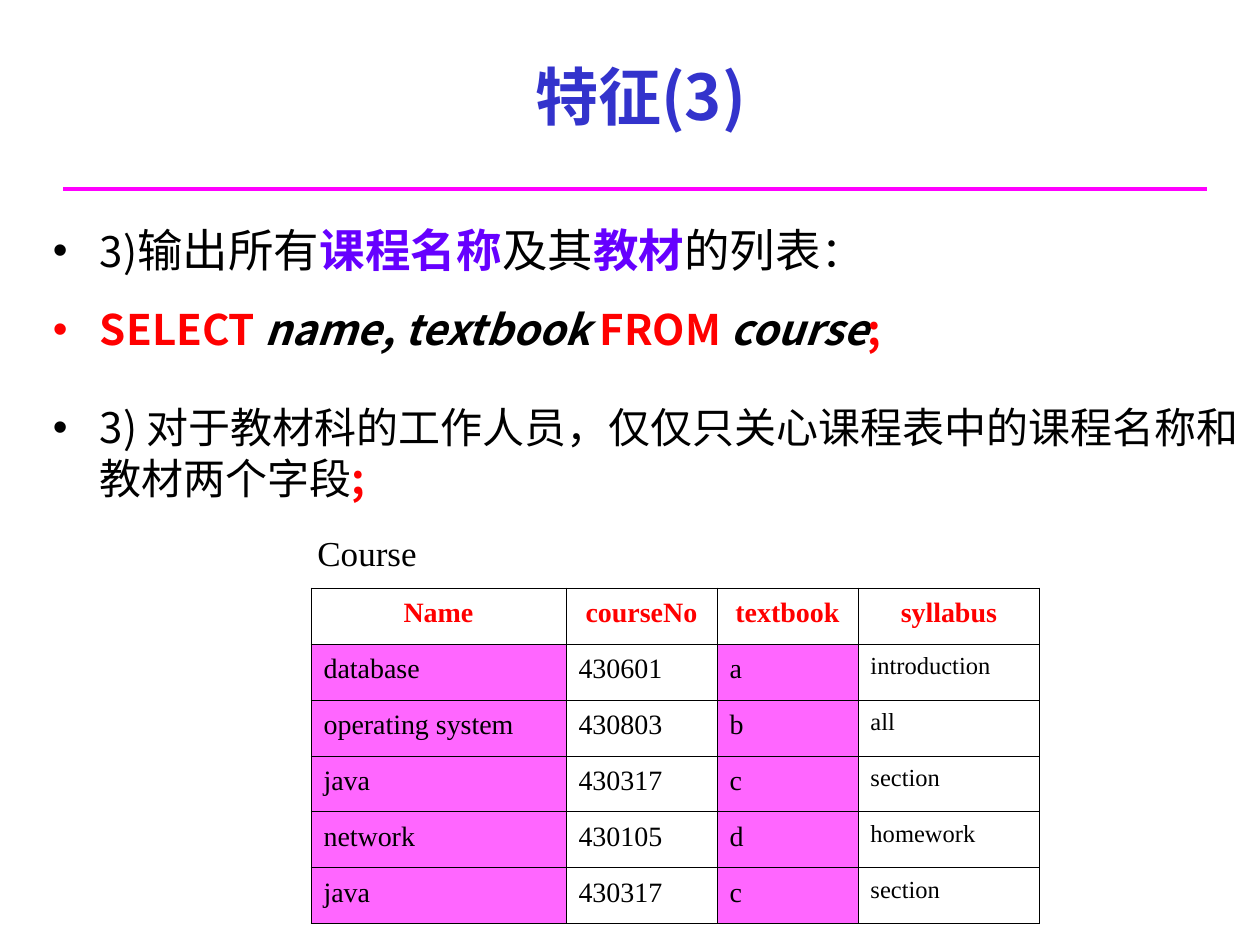
import pptx
import pptx.util
import pptx.dml.color
import pptx.enum.shapes
import pptx.enum.text
import pptx.oxml.ns
import lxml.etree

PX = 914400 / 126
RGBColor = pptx.dml.color.RGBColor
BLACK = RGBColor(0x00, 0x00, 0x00)
RED = RGBColor(0xFF, 0x00, 0x00)
VIOLET = RGBColor(0x66, 0x00, 0xFF)
BLUE = RGBColor(0x33, 0x33, 0xCC)
MAGENTA = RGBColor(0xFF, 0x00, 0xFF)
PINK = RGBColor(0xFF, 0x66, 0xFF)
SANS = "Noto Sans CJK SC"
SERIF = "Times New Roman"
qn = pptx.oxml.ns.qn
Pt = pptx.util.Pt
PP_ALIGN = pptx.enum.text.PP_ALIGN
MSO_ANCHOR = pptx.enum.text.MSO_ANCHOR
MSO_AUTO_SIZE = pptx.enum.text.MSO_AUTO_SIZE


def px(*lengths):
    return [pptx.util.Emu(round(length * PX)) for length in lengths]


def style(run, face, size, color, bold=False, italic=False):
    run.font.size = Pt(size)
    run.font.bold = bold
    run.font.italic = italic
    run.font.color.rgb = color
    run.font.name = face
    lxml.etree.SubElement(run.font._element, qn("a:ea"), typeface=face)


deck = pptx.Presentation()
deck.slide_width, deck.slide_height = px(1260, 945)
slide = deck.slides.add_slide(deck.slide_layouts[1])

rule_x1, rule_y1, rule_x2, rule_y2 = px(63, 189, 1207, 189)
rule = slide.shapes.add_connector(
    pptx.enum.shapes.MSO_CONNECTOR.STRAIGHT, rule_x1, rule_y1, rule_x2, rule_y2)
rule.line.color.rgb = MAGENTA
rule.line.width = Pt(2)
lxml.etree.SubElement(rule._element.spPr, qn("a:effectLst"))

title = slide.shapes.title
title.left, title.top, title.width, title.height = px(105, 32, 1071, 126)
title.text_frame.text = "特征(3)"
title.text_frame.vertical_anchor = MSO_ANCHOR.MIDDLE
title.text_frame.auto_size = MSO_AUTO_SIZE.NONE
title.text_frame.paragraphs[0].alignment = PP_ALIGN.CENTER
style(title.text_frame.paragraphs[0].runs[0], SANS, 36, BLUE, True)

points = [
    (0, BLACK, [
        ("3)", 24, BLACK, False, False),
        ("输出所有", 26, BLACK, False, False),
        ("课程名称", 26, VIOLET, True, False),
        ("及其", 26, BLACK, False, False),
        ("教材", 26, VIOLET, True, False),
        ("的列表", 26, BLACK, False, False),
        ("：", 24, BLACK, False, False),
    ]),
    (15, RED, [
        ("SELECT ", 24, RED, True, False),
        ("name, textbook", 24, BLACK, True, True),
        (" FROM ", 24, RED, True, False),
        ("course", 24, BLACK, True, True),
        (";", 24, RED, True, False),
    ]),
    (27, BLACK, [
        ("3) 对于教材科的工作人员，仅仅只关心课程表中的课程名称和教材两个字段",
         24, BLACK, False, False),
        (";", 24, RED, True, False),
    ]),
]
body = slide.placeholders[1]
body.left, body.top, body.width, body.height = px(53, 220, 1207, 347)
body_frame = body.text_frame
body_frame.auto_size = MSO_AUTO_SIZE.NONE
body_frame.vertical_anchor = MSO_ANCHOR.TOP
body_frame.margin_left = body_frame.margin_right = 0
indent, = px(47)
for number, (space_before, bullet_color, pieces) in enumerate(points):
    point = body_frame.add_paragraph() if number else body_frame.paragraphs[0]
    properties = point._p.get_or_add_pPr()
    properties.set("marL", str(indent))
    properties.set("indent", str(-indent))
    bullet_fill = lxml.etree.SubElement(properties, qn("a:buClr"))
    lxml.etree.SubElement(bullet_fill, qn("a:srgbClr"), val=str(bullet_color))
    lxml.etree.SubElement(properties, qn("a:buFont"), typeface="Arial")
    lxml.etree.SubElement(properties, qn("a:buChar"), char="•")
    point.space_before = Pt(space_before)
    point.line_spacing = Pt(29)
    for words, size, color, bold, italic in pieces:
        run = point.add_run()
        run.text = words
        style(run, SANS, size, color, bold, italic)

caption = slide.shapes.add_textbox(*px(305, 525, 231, 55))
caption.text_frame.word_wrap = True
caption.text_frame.vertical_anchor = MSO_ANCHOR.MIDDLE
caption.text_frame.text = "Course"
style(caption.text_frame.paragraphs[0].runs[0], SERIF, 20, BLACK)

courses = [
    ("Name", "courseNo", "textbook", "syllabus"),
    ("database", "430601", "a", "introduction"),
    ("operating system", "430803", "b", "all"),
    ("java", "430317", "c", "section"),
    ("network", "430105", "d", "homework"),
    ("java", "430317", "c", "section"),
]
selected_columns = (0, 2)
table = slide.shapes.add_table(len(courses), 4, *px(311, 588, 729, 336)).table
table.first_row = table.horz_banding = False
for column, width in zip(table.columns, px(255, 151, 141, 182)):
    column.width = width
for row_number, course in enumerate(courses):
    table.rows[row_number].height, = px(56)
    for column_number, value in enumerate(course):
        cell = table.cell(row_number, column_number)
        cell.text = value
        is_header = row_number == 0
        is_small = column_number == 3 and not is_header
        entry = cell.text_frame.paragraphs[0]
        entry.line_spacing = 1.1
        entry.alignment = PP_ALIGN.CENTER if is_header else PP_ALIGN.LEFT
        style(entry.runs[0], SERIF, 14 if is_small else 16,
              RED if is_header else BLACK, is_header)
        cell_properties = cell._tc.get_or_add_tcPr()
        for side in ("a:lnL", "a:lnR", "a:lnT", "a:lnB"):
            border = lxml.etree.SubElement(cell_properties, qn(side), w=str(Pt(0.45)))
            border_fill = lxml.etree.SubElement(border, qn("a:solidFill"))
            lxml.etree.SubElement(border_fill, qn("a:srgbClr"), val=str(BLACK))
        if column_number in selected_columns and not is_header:
            cell.fill.solid()
            cell.fill.fore_color.rgb = PINK
        else:
            cell.fill.background()

deck.save("out.pptx")
